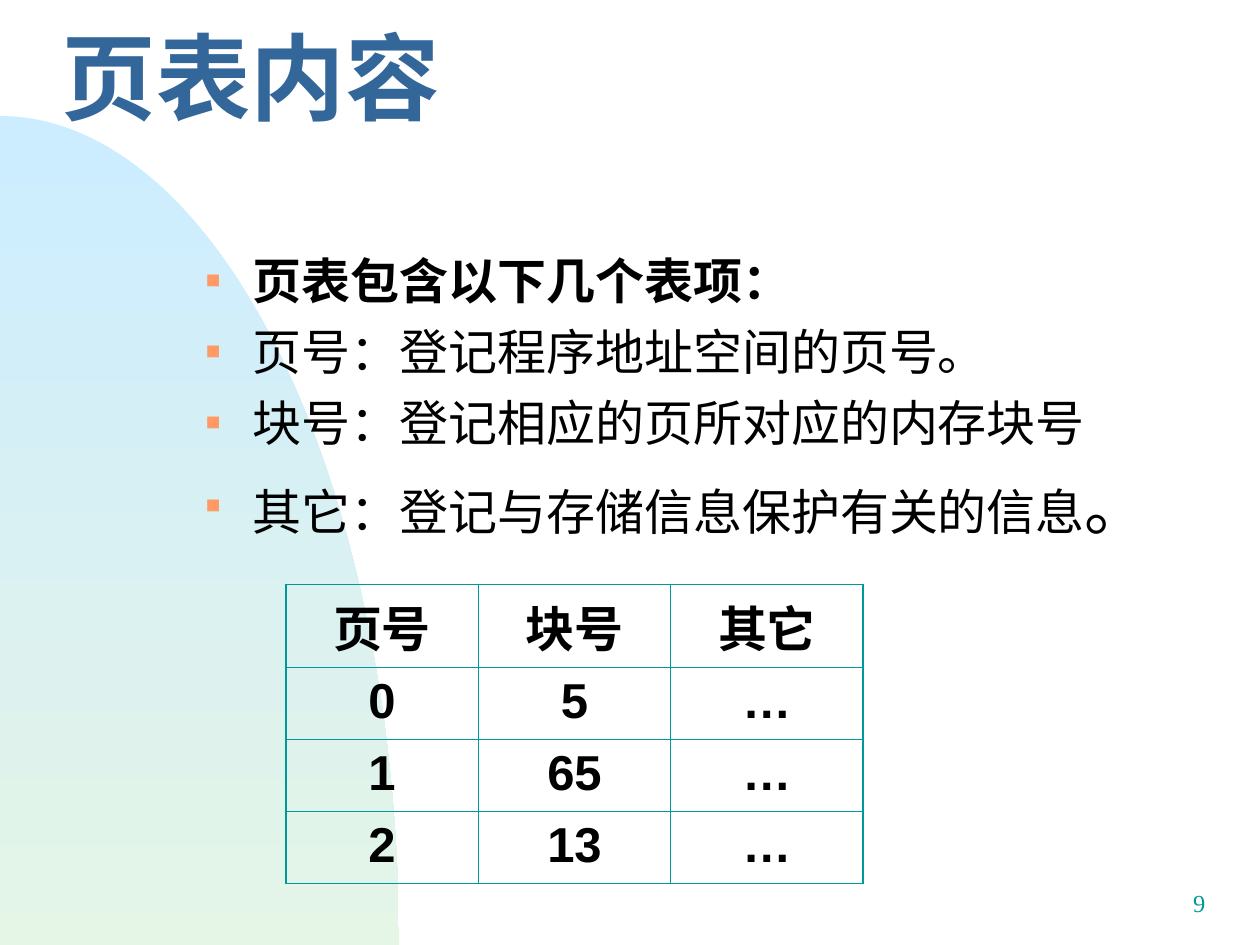
import pptx
import pptx.dml.color
import pptx.enum.shapes
import pptx.enum.text
import pptx.oxml.ns
import pptx.util
from lxml import etree

Cm = pptx.util.Cm
Pt = pptx.util.Pt
ALIGN = pptx.enum.text.PP_ALIGN
qn = pptx.oxml.ns.qn
COLORS = {"title": "336699", "text": "000000", "bullet": "FF9966",
          "teal": "009999", "sky": "CCECFF", "cream": "FFFFCC"}
CJK = "Noto Sans CJK SC"


def rgb(name):
    return pptx.dml.color.RGBColor.from_string(COLORS[name])


def style(r, size, color="text", bold=False, font=CJK):
    r.font.size = Pt(size)
    r.font.bold = bold
    r.font.name = font
    r.font.color.rgb = rgb(color)
    etree.SubElement(r.font._element, qn("a:ea"), typeface=CJK)


prs = pptx.Presentation()
prs.slide_width, prs.slide_height = Cm(25.4), Cm(19.05)
s = prs.slides.add_slide(prs.slide_layouts[5])

sp = s.shapes.add_shape(pptx.enum.shapes.MSO_SHAPE.OVAL,
                        Cm(-8.04), Cm(2.34), Cm(16.08), Cm(33.42))
sp.shadow.inherit = False
sp.line.fill.background()
sp.fill.gradient()
sp.fill.gradient_angle = 270
for stop, color, position in zip(sp.fill.gradient_stops, ("sky", "cream"), (0, 1)):
    stop.color.rgb = rgb(color)
    stop.position = position
s.shapes._spTree.insert(2, sp._element)

title = s.shapes.title
title.left, title.top, title.width, title.height = Cm(0.99), Cm(0.43), Cm(23.98), Cm(2.74)
tf = title.text_frame
tf.text = "页表内容"
tf.auto_size = pptx.enum.text.MSO_AUTO_SIZE.NONE
tf.vertical_anchor = pptx.enum.text.MSO_ANCHOR.MIDDLE
p = tf.paragraphs[0]
p.alignment = ALIGN.LEFT
p.line_spacing = 0.7
style(p.runs[0], 54, "title", True)

items = [
    [("页表包含以下几个表项：", 28, True)],
    [("页号：登记程序地址空间的页号。", 28, False)],
    [("块号：登记相应的页所对应的内存块号", 28, False)],
    [("其它：登记与存储信息保护有关的信息", 28, False), ("。", 36, False)],
]
tf = s.shapes.add_textbox(Cm(3.9), Cm(4.93), Cm(19.81), Cm(8.61)).text_frame
tf.word_wrap = True
for i, (item, gap) in enumerate(zip(items, (0, 7, 7, 9))):
    p = tf.paragraphs[0] if i == 0 else tf.add_paragraph()
    p.alignment = ALIGN.JUSTIFY
    p.space_before = Pt(gap)
    pPr = p._p.get_or_add_pPr()
    pPr.set("marL", str(Cm(0.95)))
    pPr.set("indent", str(Cm(-0.95)))
    color = etree.SubElement(pPr, qn("a:buClr"))
    etree.SubElement(color, qn("a:srgbClr"), val=COLORS["bullet"])
    etree.SubElement(pPr, qn("a:buSzPct"), val="30000")
    etree.SubElement(pPr, qn("a:buFont"), typeface=CJK)
    etree.SubElement(pPr, qn("a:buChar"), char="■")
    for text, size, bold in item:
        r = p.add_run()
        r.text = text
        style(r, size, bold=bold)

rows = [("页号", "块号", "其它"), ("0", "5", "…"), ("1", "65", "…"), ("2", "13", "…")]
n_rows, n_cols = len(rows), len(rows[0])
table = s.shapes.add_table(n_rows, n_cols, Cm(5.76), Cm(11.78),
                           Cm(11.64), Cm(6.03)).table
table.first_row = False
table.horz_banding = False
for i, row in enumerate(rows):
    table.rows[i].height = Cm(1.68 if i == 0 else 1.45)
    for j, text in enumerate(row):
        cell = table.cell(i, j)
        cell.text = text
        cell.vertical_anchor = pptx.enum.text.MSO_ANCHOR.BOTTOM if i == 0 else None
        p = cell.text_frame.paragraphs[0]
        p.alignment = ALIGN.CENTER
        style(p.runs[0], 28, bold=True, font="Arial")
        outer = {"L": j == 0, "R": j == n_cols - 1, "T": i == 0, "B": i == n_rows - 1}
        tcPr = cell._tc.get_or_add_tcPr()
        for side, is_outer in outer.items():
            ln = etree.SubElement(tcPr, qn("a:ln" + side),
                                  w=str(Pt(1.08 if is_outer else 0.45)))
            fill = etree.SubElement(ln, qn("a:solidFill"))
            etree.SubElement(fill, qn("a:srgbClr"), val=COLORS["teal"])
        cell.fill.background()
    if i == 0:
        for cell in table.rows[0].cells:
            cell.vertical_anchor = None

tf = s.shapes.add_textbox(Cm(19.27), Cm(17.78), Cm(5.28), Cm(1.27)).text_frame
tf.word_wrap = True
tf.text = "9"
p = tf.paragraphs[0]
p.alignment = ALIGN.RIGHT
style(p.runs[0], 14, "teal", font="Times New Roman")

prs.save("out.pptx")
